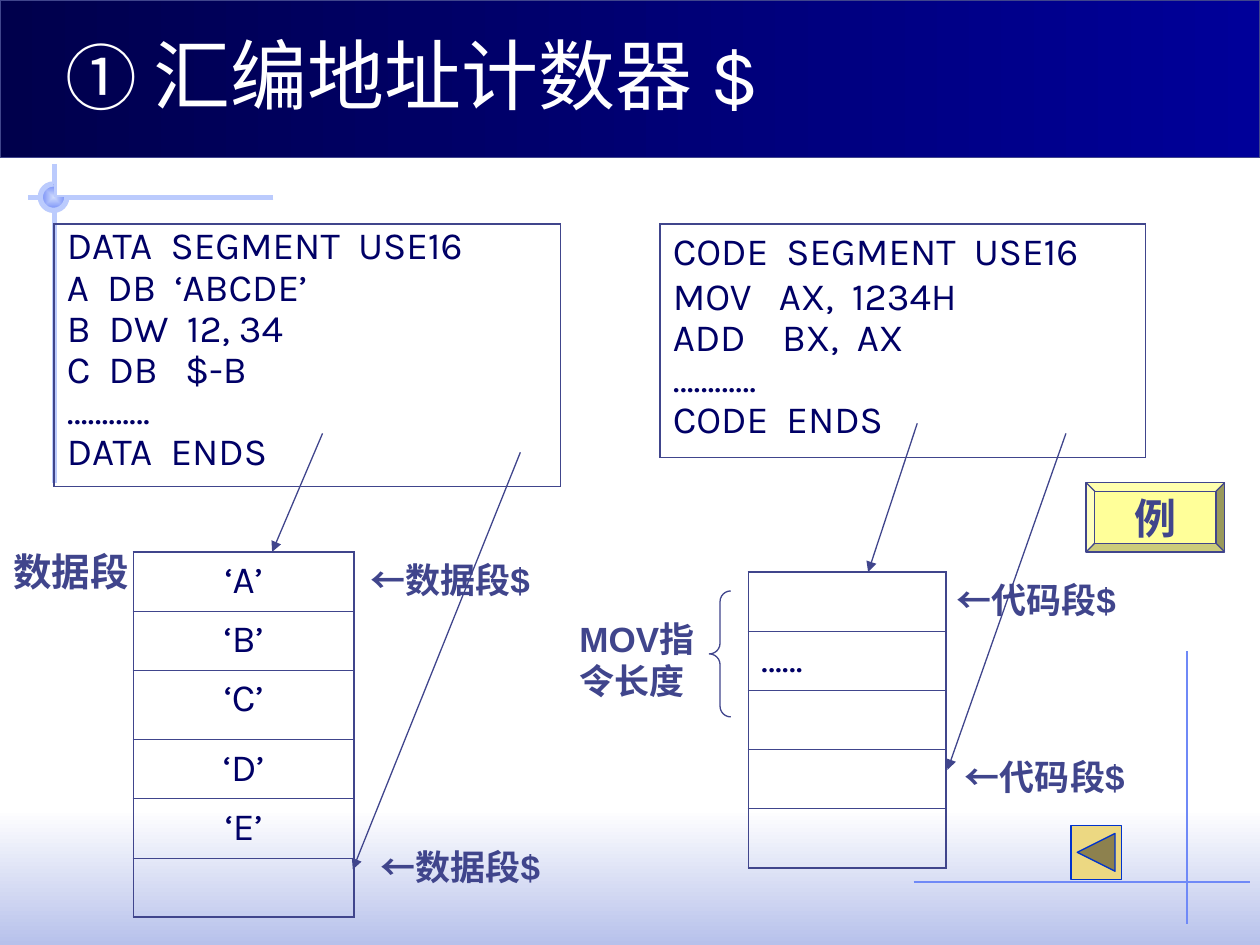
from lxml.etree import SubElement
from pptx import Presentation
from pptx.dml.color import RGBColor
from pptx.enum.shapes import MSO_CONNECTOR, MSO_SHAPE
from pptx.enum.text import MSO_ANCHOR, PP_ALIGN
from pptx.oxml import parse_xml
from pptx.oxml.ns import nsdecls, qn
from pptx.util import Inches, Pt

COLORS = {name: RGBColor.from_string(value) for name, value in {
    "ink": "40458C", "code": "000066", "white": "FFFFFF", "haze": "B7C1EB",
    "bar_right": "000099", "bar_left": "00004C", "cross": "BBCBFD",
    "thin": "6F89F7", "ball": "CFDBFD", "example": "FFFF99",
    "back": "ECD882", "back_line": "0033CC"}.items()}

prs = Presentation()
prs.slide_width, prs.slide_height = Inches(10), Inches(7.5)
slide = prs.slides.add_slide(prs.slide_layouts[5])
shapes = slide.shapes
title = shapes.title


def add_figure(preset, box, fill=None, line=None, width=0.74, angle=0):
    """Add a preset shape; fill is None, one colour name or a pair for a gradient."""
    figure = shapes.add_shape(preset, *map(Inches, box))
    figure.shadow.inherit = False
    if fill is None:
        figure.fill.background()
    elif isinstance(fill, str):
        figure.fill.solid()
        figure.fill.fore_color.rgb = COLORS[fill]
    else:
        figure.fill.gradient()
        figure.fill.gradient_angle = angle
        for stop, name in zip(figure.fill.gradient_stops, fill):
            stop.color.rgb = COLORS[name]
    if line:
        figure.line.color.rgb = COLORS[line]
        figure.line.width = Pt(width)
    else:
        figure.line.fill.background()
    return figure


def add_line(start, end, color, width=0.74, arrow=False):
    line = shapes.add_connector(MSO_CONNECTOR.STRAIGHT, *map(Inches, start + end))
    line.line.color.rgb = COLORS[color]
    line.line.width = Pt(width)
    properties = line._element.spPr
    if arrow:
        SubElement(properties.find(qn("a:ln")), qn("a:tailEnd"), type="triangle")
    SubElement(properties, qn("a:effectLst"))


# Background: haze, guide lines, crosshair with ball, title bar
add_figure(MSO_SHAPE.RECTANGLE, (0, 6.42, 10, 1.08), ("white", "haze"), angle=270)
add_line((9.42, 5.17), (9.42, 7.33), "thin")
add_line((2.17, 1.57), (0.22, 1.57), "cross", 3)
add_line((0.43, 1.3), (0.43, 3.83), "cross", 3)
ball = add_figure(MSO_SHAPE.ARC, (0.32, 1.46, 0.21, 0.21), ("ball", "thin"), "cross", 3)
ball.adjustments[0], ball.adjustments[1] = 0, 162  # 0 to 270 degrees
gradient = ball._element.spPr.find(qn("a:gradFill"))
gradient.replace(gradient.find(qn("a:lin")), parse_xml(
    f'<a:path {nsdecls("a")} path="rect">'
    '<a:fillToRect l="50000" t="50000" r="50000" b="50000"/></a:path>'))
add_figure(MSO_SHAPE.RECTANGLE, (0, 0, 10, 1.25), ("bar_right", "bar_left"), "ink", angle=180)
add_line((7.25, 7), (9.92, 7), "thin")

# Title, moved in front of the bar
shapes._spTree.append(title._element)
title.left, title.top, title.width, title.height = map(Inches, (0.42, 0.08, 8.5, 0.92))
title.text_frame.vertical_anchor = MSO_ANCHOR.BOTTOM
heading = title.text_frame.paragraphs[0]
heading.alignment = PP_ALIGN.LEFT
heading.font.name = "Karla"
heading.font.color.rgb = COLORS["white"]
for text, size in (("① ", 41), ("汇编地址计数器 $", 44)):
    run = heading.add_run()
    run.text = text
    run.font.size = Pt(size)

# Program listings and memory maps: left, top, width, row heights, row texts,
# alignment, spacing of the first line
data_code = ("DATA  SEGMENT  USE16\nA  DB  ‘ABCDE’\nB  DW  12, 34\n"
             "C  DB   $-B\n…………\nDATA  ENDS")
program_code = "CODE  SEGMENT  USE16\nMOV   AX,  1234H\nADD    BX,  AX\n…………\nCODE  ENDS"
tables = [
    (0.43, 1.78, 4.02, [2.08], [data_code], PP_ALIGN.LEFT, 0.8),
    (5.24, 1.78, 3.85, [1.85], [program_code], PP_ALIGN.LEFT, 1.0),
    (1.06, 4.38, 1.75, [0.47, 0.47, 0.55, 0.47, 0.47, 0.47],
     ["‘A’", "‘B’", "‘C’", "‘D’", "‘E’", ""], PP_ALIGN.CENTER, 1.0),
    (5.94, 4.54, 1.57, [0.47] * 5, ["", "……", "", "", ""], PP_ALIGN.LEFT, 1.0),
]
for left, top, width, heights, texts, align, first_spacing in tables:
    table = shapes.add_table(len(texts), 1, *map(Inches, (left, top, width, sum(heights)))).table
    table.first_row = table.horz_banding = False
    last = len(texts) - 1
    for i, (height, text) in enumerate(zip(heights, texts)):
        table.rows[i].height = Inches(height)
        cell = table.cell(i, 0)
        cell.fill.background()
        cell.text = text
        for n, paragraph in enumerate(cell.text_frame.paragraphs):
            paragraph.alignment = align
            paragraph.space_before = Pt(5.5)
            paragraph.line_spacing = 0.7 if n else first_spacing
            paragraph.font.name = "Karla"
            paragraph.font.size = Pt(22 if text else 18)
            paragraph.font.color.rgb = COLORS["code"]
        # Outer edges are thicker than the rules between rows
        edges = {"L": 1.08, "R": 1.08, "T": 0.45 if i else 1.08, "B": 0.45 if i < last else 1.08}
        for n, (side, points) in enumerate(edges.items()):
            cell._tc.get_or_add_tcPr().insert(n, parse_xml(
                f'<a:ln{side} {nsdecls("a")} w="{Pt(points)}"><a:solidFill>'
                f'<a:srgbClr val="{COLORS["ink"]}"/></a:solidFill></a:ln{side}>'))

# Labels
labels = [
    (0.01, 4.3, 1.17, 0.47, "数据段", 22),
    (2.84, 4.38, 1.6, 0.44, "←数据段$", 20),
    (4.5, 4.85, 1.18, 0.77, "MOV指\n令长度", 20),
    (7.49, 4.54, 1.6, 0.44, "←代码段$", 20),
    (2.92, 6.66, 1.6, 0.44, "←数据段$", 20),
    (7.56, 5.95, 1.6, 0.44, "←代码段$", 20),
]
for *box, text, size in labels:
    frame = shapes.add_textbox(*map(Inches, box)).text_frame
    frame.word_wrap = False
    frame.text = text
    for paragraph in frame.paragraphs:
        paragraph.alignment = PP_ALIGN.LEFT
        paragraph.font.name = "Arial"
        paragraph.font.size = Pt(size)
        paragraph.font.bold = True
        paragraph.font.color.rgb = COLORS["ink"]

# Arrows from the listings to memory
for start, end in (((2.56, 3.44), (2.16, 4.38)), ((7.28, 3.36), (6.89, 4.54)),
                   ((4.13, 3.59), (2.8, 6.9)), ((8.46, 3.44), (7.52, 6.11))):
    add_line(start, end, "ink", arrow=True)

# Instruction length brace
brace = add_figure(MSO_SHAPE.LEFT_BRACE, (5.63, 4.69, 0.17, 1), line="ink")
brace.adjustments[0] = 0.5

# Buttons
example = add_figure(MSO_SHAPE.BEVEL, (8.62, 3.83, 1.1, 0.55), "example", "ink")
example.text_frame.word_wrap = False
example.text_frame.vertical_anchor = MSO_ANCHOR.MIDDLE
caption = example.text_frame.paragraphs[0]
caption.text = "例"
caption.alignment = PP_ALIGN.CENTER
caption.font.name = "Arial"
caption.font.size = Pt(24)
caption.font.bold = True
caption.font.color.rgb = COLORS["ink"]
add_figure(MSO_SHAPE.ACTION_BUTTON_BACK_OR_PREVIOUS, (8.5, 6.55, 0.4, 0.43), "back", "back_line")

prs.save("out.pptx")
